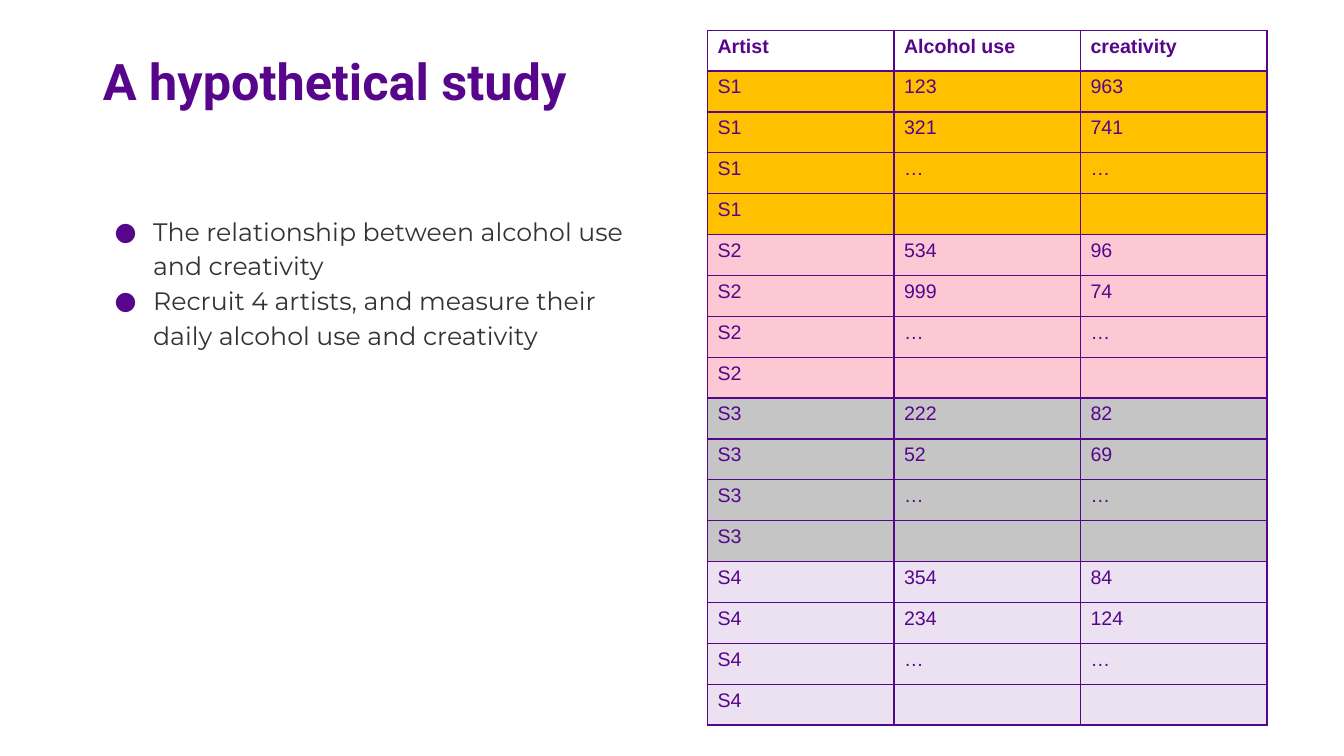
from dataclasses import dataclass

from lxml.etree import SubElement
from pptx import Presentation
from pptx.dml.color import RGBColor
from pptx.enum.text import MSO_ANCHOR, MSO_AUTO_SIZE, PP_ALIGN
from pptx.oxml.ns import qn
from pptx.util import Cm, Pt


@dataclass(frozen=True)
class Theme:
    purple: str = "57068C"
    body_color: str = "333333"
    artist_fills: tuple = ("FFC000", "FBC8D4", "C5C5C5", "EBE1F1")
    title_font: str = "Roboto"
    body_font: str = "Montserrat"
    table_font: str = "Arial"
    title_size: int = 36
    body_size: int = 18
    table_size: int = 14


THEME = Theme()
INSET = Cm(0.25)
HEADER = ("Artist", "Alcohol use", "creativity")
MEASUREMENTS = {
    "S1": [("123", "963"), ("321", "741"), ("…", "…"), ("", "")],
    "S2": [("534", "96"), ("999", "74"), ("…", "…"), ("", "")],
    "S3": [("222", "82"), ("52", "69"), ("…", "…"), ("", "")],
    "S4": [("354", "84"), ("234", "124"), ("…", "…"), ("", "")],
}
BULLETS = (
    "The relationship between alcohol use and creativity",
    "Recruit 4 artists, and measure their daily alcohol use and creativity",
)


def style_font(paragraph, name, size, color, bold=False):
    font = paragraph.font
    font.name, font.size, font.bold = name, Pt(size), bold
    font.color.rgb = RGBColor.from_string(color)


def prepare_frame(shape):
    frame = shape.text_frame
    frame.word_wrap = True
    frame.auto_size = MSO_AUTO_SIZE.NONE
    frame.vertical_anchor = MSO_ANCHOR.TOP
    frame.margin_left = frame.margin_right = INSET
    frame.margin_top = frame.margin_bottom = INSET
    return frame


def set_title(slide, text):
    title = slide.shapes.title
    title.left, title.top = Cm(2.34), Cm(1.02)
    title.width, title.height = Cm(13.72), Cm(3.68)
    frame = prepare_frame(title)
    frame.text = text
    paragraph = frame.paragraphs[0]
    paragraph.alignment = PP_ALIGN.LEFT
    style_font(paragraph, THEME.title_font, THEME.title_size, THEME.purple, bold=True)


def add_bullet_mark(paragraph):
    properties = paragraph._p.get_or_add_pPr()
    properties.set("marL", str(Cm(1.27)))
    properties.set("indent", str(Cm(-0.97)))
    bullet_color = SubElement(properties, qn("a:buClr"))
    SubElement(bullet_color, qn("a:srgbClr"), val=THEME.purple)
    SubElement(properties, qn("a:buFont"), typeface=THEME.body_font)
    SubElement(properties, qn("a:buChar"), char="●")


def add_bullet_list(slide, items):
    box = slide.shapes.add_textbox(Cm(2.34), Cm(5.08), Cm(14.1), Cm(12.09))
    frame = prepare_frame(box)
    frame.text = "\n".join(items)
    for paragraph in frame.paragraphs:
        add_bullet_mark(paragraph)
        paragraph.line_spacing = 1.15
        style_font(paragraph, THEME.body_font, THEME.body_size, THEME.body_color)


def add_cell_borders(cell):
    properties = cell._tc.get_or_add_tcPr()
    for side in ("a:lnL", "a:lnR", "a:lnT", "a:lnB"):
        line = SubElement(properties, qn(side), w=str(Pt(1)))
        line_fill = SubElement(line, qn("a:solidFill"))
        SubElement(line_fill, qn("a:srgbClr"), val=THEME.purple)


def fill_row(row, values, fill_color=None, bold=False):
    for cell, value in zip(row.cells, values):
        add_cell_borders(cell)
        if fill_color:
            cell.fill.solid()
            cell.fill.fore_color.rgb = RGBColor.from_string(fill_color)
        else:
            cell.fill.background()
        cell.text = value
        style_font(cell.text_frame.paragraphs[0], THEME.table_font,
                   THEME.table_size, THEME.purple, bold)


def add_measurement_table(slide):
    records = [
        ((artist, *values), color)
        for (artist, days), color in zip(MEASUREMENTS.items(), THEME.artist_fills)
        for values in days
    ]
    row_count = len(records) + 1
    row_height, column_width = Cm(1.03), Cm(4.7)
    table = slide.shapes.add_table(
        row_count, len(HEADER), Cm(17.83), Cm(0.76),
        column_width * len(HEADER), row_height * row_count).table
    table.first_row = table.horz_banding = False
    for row in table.rows:
        row.height = row_height
    header_row, *record_rows = table.rows
    fill_row(header_row, HEADER, bold=True)
    for row, (values, color) in zip(record_rows, records):
        fill_row(row, values, color)


def main():
    presentation = Presentation()
    presentation.slide_width, presentation.slide_height = Cm(33.87), Cm(19.05)
    slide = presentation.slides.add_slide(presentation.slide_layouts[5])
    set_title(slide, "A hypothetical study")
    add_bullet_list(slide, BULLETS)
    add_measurement_table(slide)
    presentation.save("out.pptx")


if __name__ == "__main__":
    main()
